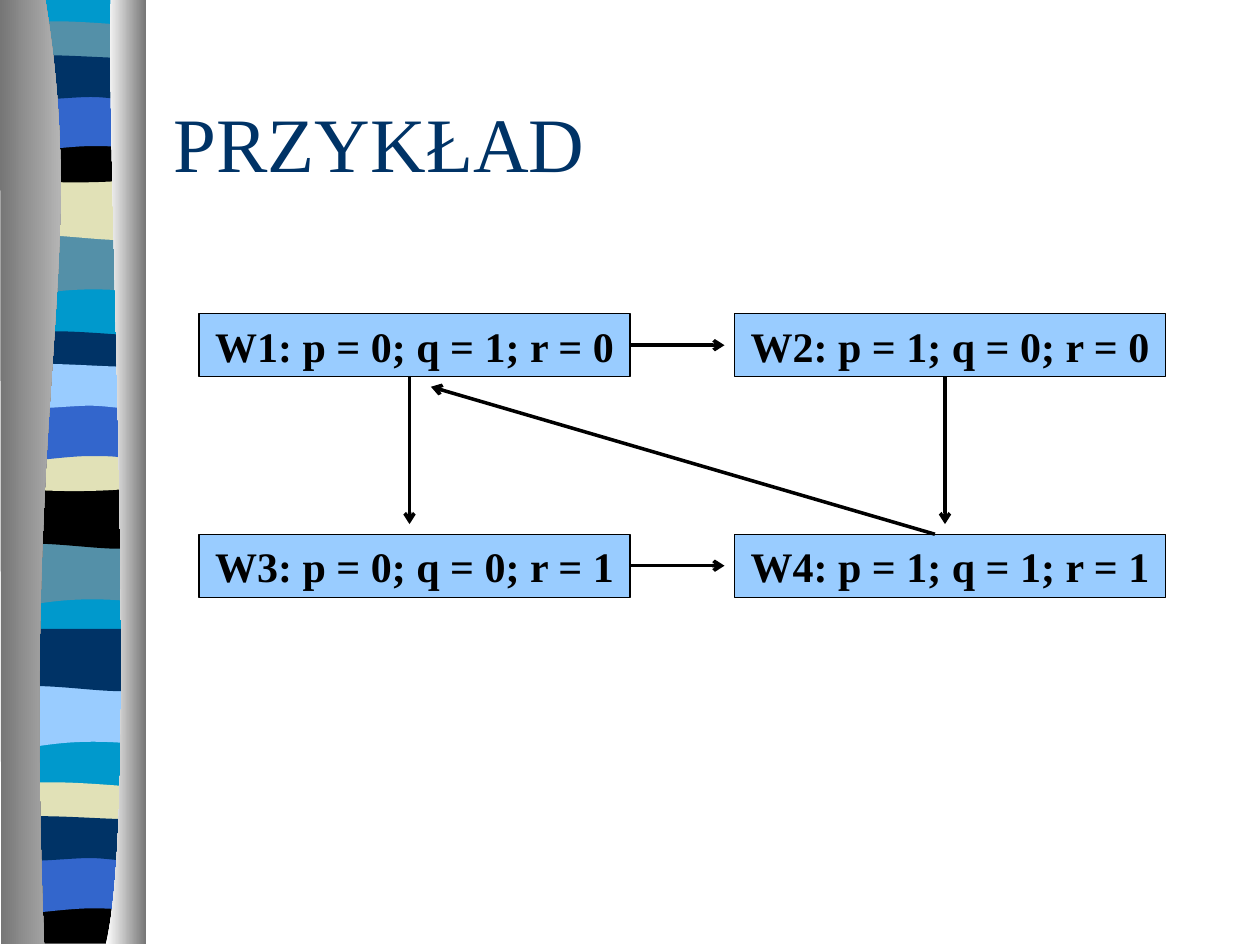
from lxml import etree
from pptx import Presentation, util as u
from pptx.dml.color import RGBColor
from pptx.enum import shapes, text
from pptx.oxml.ns import qn

# Content
TITLE = "PRZYKŁAD"
FONT = "Times New Roman"
STATES = {  # name: (values, column, row)
    "W1": ("p = 0; q = 1; r = 0", 0, 0),
    "W2": ("p = 1; q = 0; r = 0", 1, 0),
    "W4": ("p = 1; q = 1; r = 1", 1, 1),
    "W3": ("p = 0; q = 0; r = 1", 0, 1),
}
CYAN, TEAL, NAVY, BLUE = "0099CC", "5490A8", "003366", "3366CC"
BLACK, SAND, SKY = "000000", "E1E1B7", "99CCFF"
GREY, LIGHT, WHITE = "767676", "D3D3D3", "FFFFFF"

# Outlines: a start, then segments of one point (line) or three (curve)
W = 1.08
MOTIFS = {
    "wave": [[(W, 0)], [(W, 0.47)], [(0.33, 0.39), (0.18, 0.55), (0, 0.47)],
             [(0, 0)]],
    "swell": [[(W, 0)], [(W, 0.47)], [(0.9, 0.55), (0.33, 0.41), (0, 0.47)],
              [(0, 0)]],
    "thin": [[(W, 0.05)], [(W, 0.29)], [(0.9, 0.33), (0.18, 0.33), (0, 0.29)],
             [(0, 0.05)], [(0.06, 0), (0.23, 0.01), (0.41, 0.01)],
             [(0.59, 0.01), (0.94, 0.04), (W, 0.05)]],
    "bowl": [[(W, 0)], [(W, 0.33)], [(0.9, 0.38), (0.18, 0.38), (0, 0.33)],
             [(0, 0)], [(0.66, 0.05), (0.85, 0), (W, 0)]],
    "arch": [[(W, 0)], [(W, 0.47)], [(0.91, 0.42), (0.84, 0.42), (0.66, 0.42)],
             [(0.48, 0.42), (0.16, 0.47), (0, 0.47)], [(0, 0)]],
    "bend": [[(W, 0.05)], [(W, 0.36)], [(1.01, 0.41), (0.84, 0.36), (0.66, 0.36)],
             [(0.48, 0.36), (0.11, 0.41), (0, 0.36)], [(0, 0.05)],
             [(0.15, 0), (0.73, 0.05), (0.91, 0.05)],
             [(1.09, 0.05), (1.05, 0.05), (W, 0.05)]],
    "foot": [[(W, 0)], [(W, 0.37)], [(0, 0.37)], [(0, 0)],
             [(0.66, 0.05), (0.85, 0), (W, 0)]],
    "ground": [[(W, 0)], [(W, 7.47)], [(0, 7.47)], [(0, 0)]],
}
STRIPES = [  # motif, left, top, colour
    ("ground", 0.06, 0, CYAN),
    ("wave", 0.06, 1.85, TEAL), ("swell", 0.06, 1.41, SAND),
    ("thin", 0.06, 0.16, TEAL), ("bowl", 0.06, 1.08, BLACK),
    ("arch", 0.06, 0.74, BLUE), ("bend", 0.06, 0.41, NAVY),
    ("wave", 0.05, 4.31, TEAL), ("swell", 0.05, 3.86, BLACK),
    ("thin", 0.05, 2.62, NAVY), ("bowl", 0.05, 3.53, SAND),
    ("arch", 0.05, 3.2, BLUE), ("bend", 0.05, 2.86, SKY),
    ("wave", 0.06, 5.44, SKY), ("swell", 0.06, 4.99, NAVY),
    ("thin", 0.05, 6.2, SAND), ("foot", 0.05, 7.12, BLACK),
    ("arch", 0.05, 6.79, BLUE), ("bend", 0.05, 6.45, NAVY),
]
PILLARS = [  # outline, gradient ends
    ([[(0.36, 0)], [(0.71, 2.16), (0.17, 2.96), (0.35, 7.49)],
      [(0.01, 7.49)], [(0, 0)]], (GREY, LIGHT)),
    ([[(0.88, 0)], [(0.84, 1.25), (1.11, 6.46), (0.84, 7.49)],
      [(1.16, 7.49)], [(1.16, 0)]], (WHITE, GREY)),
]

# State grid
GRID_LEFT, GRID_TOP = 1.58, 2.49
BOX_W, BOX_H = 3.42, 0.5
COLUMN_STEP, ROW_STEP = 4.25, 1.75
ARROW_GAP = 0.08

prs = Presentation()
prs.slide_width, prs.slide_height = u.Inches(10), u.Inches(7.5)
slide = prs.slides.add_slide(prs.slide_layouts[5])


def color(hex_value):
    return RGBColor.from_string(hex_value)


def style_text(frame, size, hex_value, align, bold=False):
    frame.word_wrap = True
    frame.vertical_anchor = text.MSO_ANCHOR.MIDDLE
    paragraph = frame.paragraphs[0]
    paragraph.alignment = align
    font = paragraph.runs[0].font
    font.name, font.size, font.bold = FONT, u.Pt(size), bold
    font.color.rgb = color(hex_value)


def outline(segments, left=0, top=0):
    """Closed shape without a line, with three-point segments as curves."""
    start, *points = [(u.Inches(left + x), u.Inches(top + y))
                      for segment in segments for x, y in segment]
    builder = slide.shapes.build_freeform(*start)
    builder.add_line_segments(points, close=True)
    shape = builder.convert_to_shape()
    steps = iter(list(shape._element.iter(qn("a:lnTo"))))
    for segment in segments[1:]:
        first, *others = [next(steps) for _ in segment]
        if others:
            first.tag = qn("a:cubicBezTo")
        for step in others:
            first.append(step[0])
            step.getparent().remove(step)
    shape.shadow.inherit = False
    shape.line.fill.background()
    return shape


def arrow(start, end):
    line = slide.shapes.add_connector(
        shapes.MSO_CONNECTOR.STRAIGHT, *(u.Inches(v) for v in (*start, *end)))
    line.line.width = u.Pt(2)
    line.line.color.rgb = color(BLACK)
    etree.SubElement(line.line._get_or_add_ln(), qn("a:tailEnd"), type="arrow")
    etree.SubElement(line._element.spPr, qn("a:effectLst"))


# Striped ribbon
for motif, left, top, fill in STRIPES:
    stripe = outline(MOTIFS[motif], left, top)
    stripe.fill.solid()
    stripe.fill.fore_color.rgb = color(fill)

# Shaded pillars on both sides of the ribbon
for edge, ends in PILLARS:
    pillar = outline(edge)
    pillar.fill.gradient()
    pillar.fill.gradient_angle = 0
    for stop, end, position in zip(pillar.fill.gradient_stops, ends, (0, 1)):
        stop.color.rgb = color(end)
        stop.position = position

# Title
title = slide.shapes.title
title.left, title.top = u.Inches(1.28), u.Inches(0.5)
title.width, title.height = u.Inches(8.5), u.Inches(1.25)
title.text_frame.text = TITLE
style_text(title.text_frame, 44, NAVY, text.PP_ALIGN.LEFT)

# State boxes
for name, (values, column, row) in STATES.items():
    state = slide.shapes.add_shape(
        shapes.MSO_SHAPE.RECTANGLE,
        u.Inches(GRID_LEFT + column * COLUMN_STEP),
        u.Inches(GRID_TOP + row * ROW_STEP), u.Inches(BOX_W), u.Inches(BOX_H))
    state.shadow.inherit = False
    state.fill.solid()
    state.fill.fore_color.rgb = color(SKY)
    state.line.color.rgb = color(BLACK)
    state.line.width = u.Pt(0.75)
    state.text_frame.text = f"{name}: {values}"
    style_text(state.text_frame, 24, BLACK, text.PP_ALIGN.CENTER, bold=True)

# Transitions: down each column, along each row, and back from W4 to W1
upper, lower = GRID_TOP + BOX_H, GRID_TOP + ROW_STEP
for column in range(2):
    x = 3.25 + column * COLUMN_STEP
    arrow((x, upper), (x, lower - ARROW_GAP))
for row in range(2):
    y = GRID_TOP + BOX_H / 2 + row * ROW_STEP
    arrow((GRID_LEFT + BOX_W, y), (GRID_LEFT + COLUMN_STEP - ARROW_GAP, y))
arrow((7.42, lower), (3.42, upper + ARROW_GAP))

prs.save("out.pptx")
